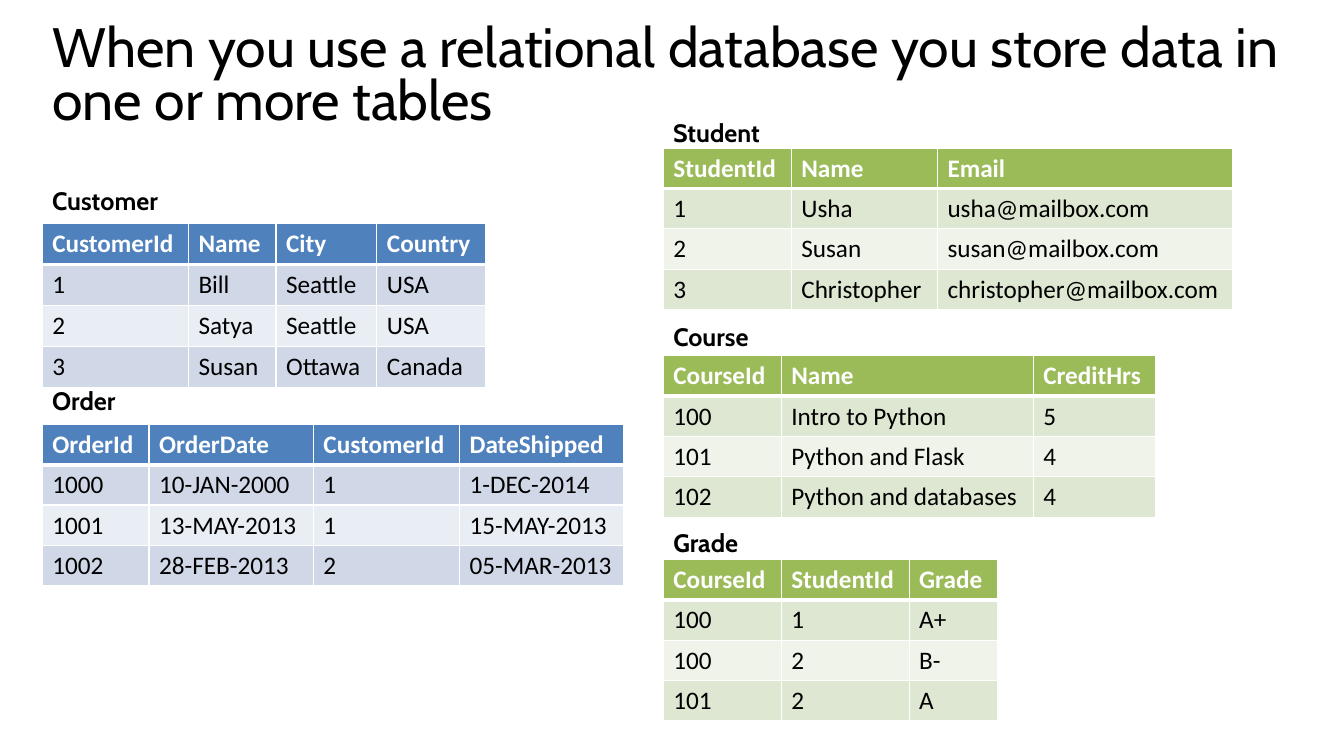
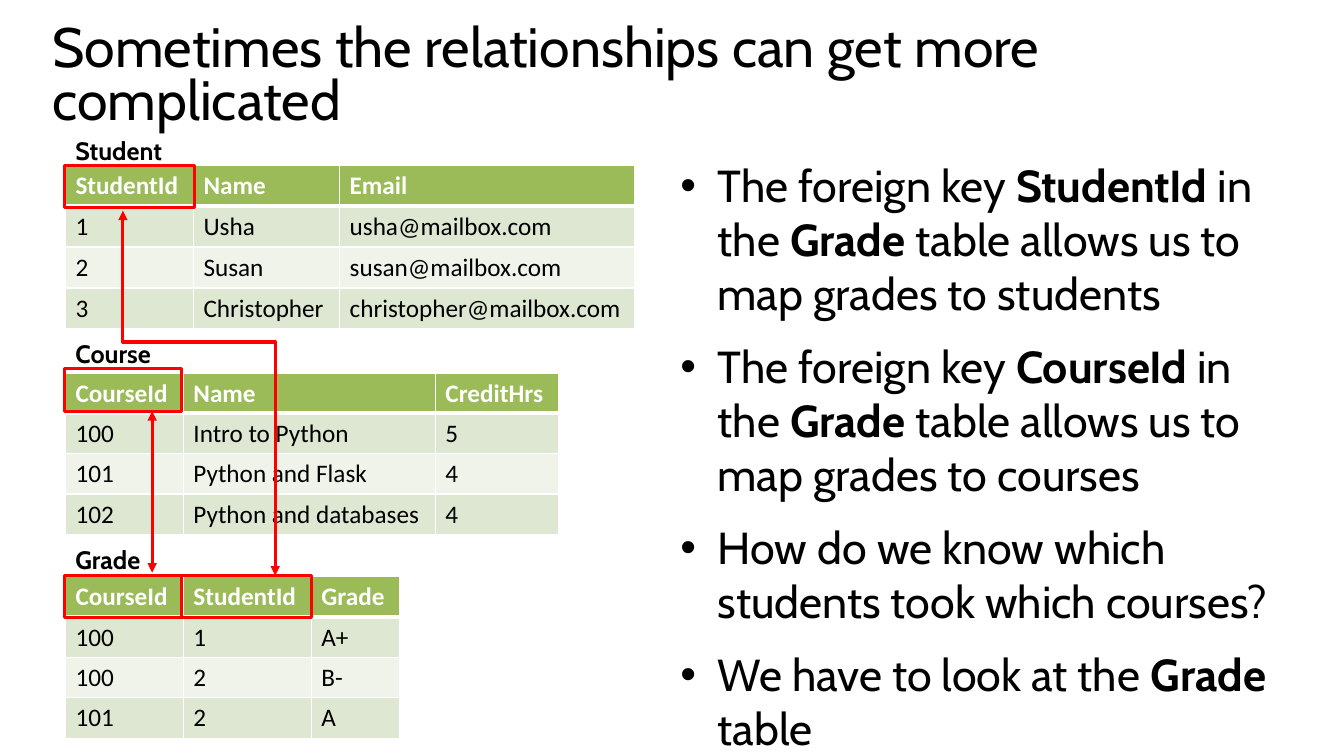
from dataclasses import dataclass

from lxml.etree import SubElement as Sub
from pptx import Presentation
from pptx.dml.color import RGBColor as Rgb
from pptx.enum.shapes import MSO_CONNECTOR as Wire, MSO_SHAPE as Form
from pptx.enum.text import MSO_ANCHOR as Anchor, MSO_AUTO_SIZE as Fit, PP_ALIGN as Align
from pptx.oxml.ns import qn
from pptx.util import Pt


@dataclass(frozen=True)
class Theme:
    head: str = "Cabin"
    cell: str = "Calibri"
    title: float = 39.6
    body: float = 32
    small: float = 18
    ink: str = "000000"
    paper: str = "FFFFFF"
    mark: str = "FF0000"
    stroke: float = 2.25
    # header, odd row, even row
    blue: tuple = ("4F81BD", "D0D8E8", "E9EDF4")
    green: tuple = ("9BBB59", "DEE7D1", "EFF3EA")


@dataclass(frozen=True)
class Grid:
    """A captioned table; drop is its offset down the stack, lift the caption's height above it."""
    name: str
    wide: float
    drop: float
    lift: float
    cols: tuple
    rows: tuple


THEME = Theme()
ROW = 28.8
KEY = 30.2

SHOP = (
    Grid("Customer", 96.5, 0, 30.9, (104.4, 62.6, 72, 77.8), (
        ("CustomerId", "Name", "City", "Country"),
        ("1", "Bill", "Seattle", "USA"),
        ("2", "Satya", "Seattle", "USA"),
        ("3", "Susan", "Ottawa", "Canada"))),
    Grid("Order", 63.4, 143.3, 31.7, (76.3, 117.4, 104.4, 117.4), (
        ("OrderId", "OrderDate", "CustomerId", "DateShipped"),
        ("1000", "10-JAN-2000", "1", "1-DEC-2014"),
        ("1001", "13-MAY-2013", "1", "15-MAY-2013"),
        ("1002", "28-FEB-2013", "2", "05-MAR-2013"))),
)
SCHOOL = (
    Grid("Student", 81.4, 0, 25.2, (91.4, 104.4, 211), (
        ("StudentId", "Name", "Email"),
        ("1", "Usha", "usha@mailbox.com"),
        ("2", "Susan", "susan@mailbox.com"),
        ("3", "Christopher", "christopher@mailbox.com"))),
    Grid("Course", 73.4, 148.3, 28.1, (84.2, 180, 87.8), (
        ("CourseId", "Name", "CreditHrs"),
        ("100", "Intro to Python", "5"),
        ("101", "Python and Flask", "4"),
        ("102", "Python and databases", "4"))),
    Grid("Grade", 65.5, 293.8, 26.6, (84.2, 91.4, 63.4), (
        ("CourseId", "StudentId", "Grade"),
        ("100", "1", "A+"),
        ("100", "2", "B-"),
        ("101", "2", "A"))),
)
# Asterisks enclose bold text.
NOTES = (
    "The foreign key *StudentId *in the *Grade* table allows us to map grades to students",
    "The foreign key *CourseId *in the *Grade* table allows us to map grades to courses",
    "How do we know which students took which courses?",
    "We have to look at the *Grade* table",
)


def add_run(para, text, size, face=THEME.head, ink=THEME.ink, bold=False):
    run = para.add_run()
    run.text = text
    font = run.font
    font.name, font.size, font.bold = face, Pt(size), bold
    font.color.rgb = Rgb.from_string(ink)


def place(shape, x, y, w, h):
    shape.left, shape.top, shape.width, shape.height = map(Pt, (x, y, w, h))


def add_page(deck, layout, title):
    slide = deck.slides.add_slide(deck.slide_layouts.get_by_name(layout))
    shape = slide.shapes.title
    place(shape, 30.2, 14.4, 907.2, 83.5)
    frame = shape.text_frame
    frame.auto_size, frame.vertical_anchor = Fit.NONE, Anchor.TOP
    para = frame.paragraphs[0]
    para.alignment, para.line_spacing = Align.LEFT, 0.8
    add_run(para, title, THEME.title)
    return slide


def fill_list(shape, items):
    place(shape, 478.8, 109.4, 458.6, 95)
    frame = shape.text_frame
    frame.auto_size, frame.vertical_anchor = Fit.NONE, Anchor.TOP
    for i, item in enumerate(items):
        para = frame.add_paragraph() if i else frame.paragraphs[0]
        para.space_before, para.line_spacing = Pt(14), 1.0
        props = para._p.get_or_add_pPr()
        props.set("marL", str(Pt(26.6)))
        props.set("indent", str(-Pt(26.6)))
        for j, part in enumerate(item.split("*")):
            add_run(para, part, THEME.body, bold=j % 2 == 1)


def add_label(slide, text, x, y, w):
    box = slide.shapes.add_textbox(*map(Pt, (x, y, w, 28.8)))
    frame = box.text_frame
    frame.word_wrap, frame.auto_size = False, Fit.SHAPE_TO_FIT_TEXT
    add_run(frame.paragraphs[0], text, THEME.small, bold=True)


def set_edges(cell, top, base):
    props = cell._tc.get_or_add_tcPr()
    for side, width in (("L", 1), ("R", 1), ("T", top), ("B", base)):
        line = Sub(props, qn("a:ln" + side), w=str(Pt(width)))
        Sub(Sub(line, qn("a:solidFill")), qn("a:srgbClr"), val=THEME.paper)


def add_grid(slide, grid, x, y, fills):
    size = len(grid.rows), len(grid.cols)
    box = map(Pt, (x, y, sum(grid.cols), ROW * len(grid.rows)))
    table = slide.shapes.add_table(*size, *box).table
    for col, width in zip(table.columns, grid.cols):
        col.width = Pt(width)
    for r, texts in enumerate(grid.rows):
        table.rows[r].height = Pt(ROW)
        head = r == 0
        shade = fills[0] if head else fills[2 - r % 2]
        for c, text in enumerate(texts):
            cell = table.cell(r, c)
            set_edges(cell, 3 if r == 1 else 1, 3 if head else 1)
            cell.fill.solid()
            cell.fill.fore_color.rgb = Rgb.from_string(shade)
            add_run(cell.text_frame.paragraphs[0], text, THEME.small, THEME.cell,
                    THEME.paper if head else THEME.ink, head)


def add_stack(slide, grids, x, y, fills):
    for grid in grids:
        top = y + grid.drop
        add_grid(slide, grid, x, top, fills)
        add_label(slide, grid.name, x, top - grid.lift, grid.wide)


def ink_line(shape):
    shape.line.color.rgb = Rgb.from_string(THEME.mark)
    shape.line.width = Pt(THEME.stroke)


def add_key(slide, x, y, w):
    """Frame a key column's header."""
    box = slide.shapes.add_shape(Form.RECTANGLE, *map(Pt, (x, y, w, KEY)))
    box.shadow.inherit = False
    box.fill.background()
    ink_line(box)


def add_arrow(slide, kind, x1, y1, x2, y2):
    """Draw a connector with a head at each end and return its properties."""
    wire = slide.shapes.add_connector(kind, *map(Pt, (x1, y1, x2, y2)))
    ink_line(wire)
    props = wire.element.spPr
    line = props.find(qn("a:ln"))
    for end in ("a:headEnd", "a:tailEnd"):
        Sub(line, qn(end), type="triangle")
    Sub(props, qn("a:effectLst"))
    return props


def add_bend(slide, x1, y1, x2, y2, turn):
    """Go down, across and down; turn is the share of the height before the crossing."""
    mid_x, mid_y = (x1 + x2) / 2, (y1 + y2) / 2
    half_w, half_h = (y2 - y1) / 2, (x2 - x1) / 2
    props = add_arrow(slide, Wire.ELBOW, mid_x + half_w, mid_y - half_h,
                      mid_x - half_w, mid_y + half_h)
    props.find(qn("a:xfrm")).set("rot", str(270 * 60000))
    shape = props.find(qn("a:prstGeom"))
    guides = shape.find(qn("a:avLst"))
    if guides is None:
        guides = Sub(shape, qn("a:avLst"))
    Sub(guides, qn("a:gd"), name="adj1", fmla=f"val {round(turn * 100000)}")


def main():
    deck = Presentation()
    deck.slide_width, deck.slide_height = Pt(960), Pt(540)

    slide = add_page(deck, "Title Only", "When you use a relational database "
                     "you store data in one or more tables")
    add_stack(slide, SHOP, 30.2, 159.8, THEME.blue)
    add_stack(slide, SCHOOL, 473.8, 105.8, THEME.green)

    slide = add_page(deck, "Title and Content",
                     "Sometimes the relationships can get more complicated")
    fill_list(slide.placeholders[1], NOTES)
    add_stack(slide, SCHOOL, 46.8, 118.1, THEME.green)
    for x, y, w in ((46.1, 118.1, 92.9), (46.1, 263.5, 83.5),
                    (46.1, 411.1, 83.5), (129.6, 411.1, 92.9)):
        add_key(slide, x, y, w)
    add_arrow(slide, Wire.STRAIGHT, 108.7, 293.8, 108.7, 409)
    add_bend(slide, 87.8, 150.5, 196.6, 411.1, 0.36)

    deck.save("out.pptx")


if __name__ == "__main__":
    main()
